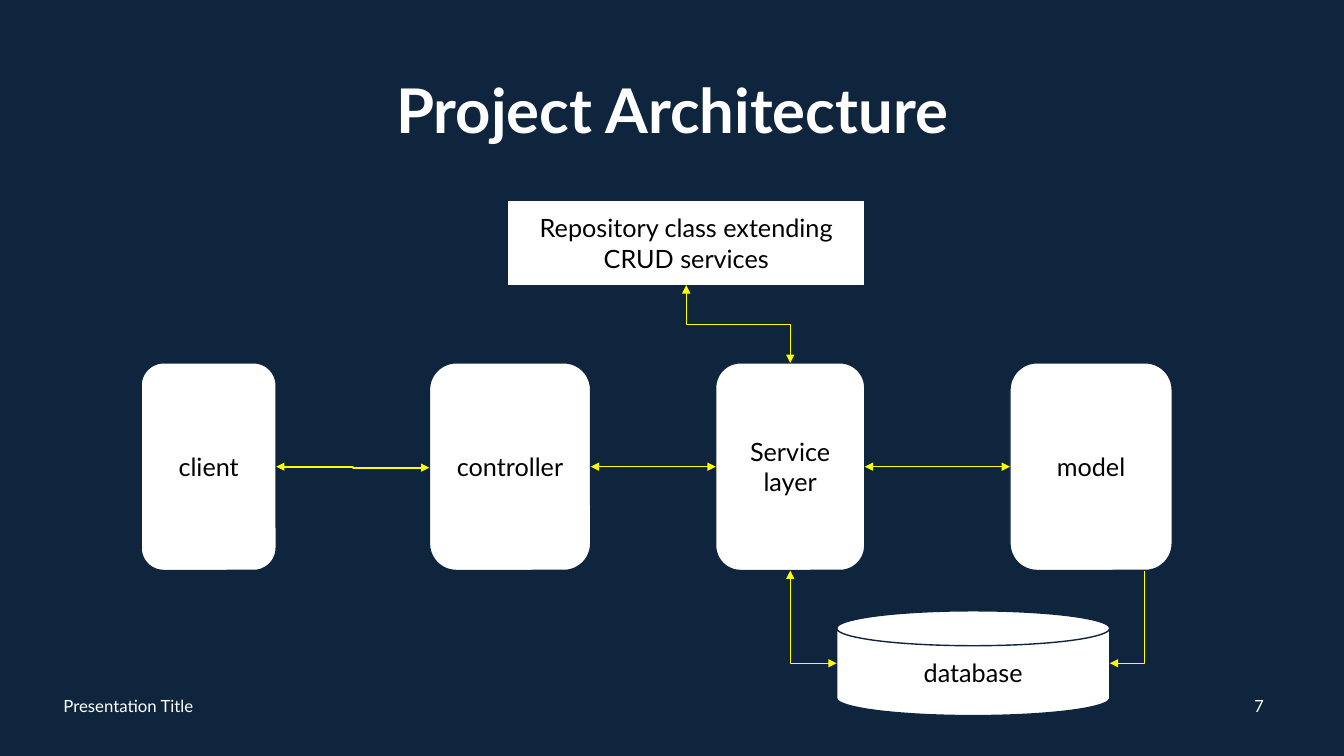
from lxml import etree
from pptx import Presentation
from pptx.dml.color import RGBColor
from pptx.enum.shapes import MSO_CONNECTOR, MSO_SHAPE
from pptx.enum.text import MSO_ANCHOR, PP_ALIGN
from pptx.oxml.ns import qn
from pptx.util import Inches, Pt

WIDTH, HEIGHT = 13.33, 7.5
COLUMNS, ROWS = 40, 30
TITLE_ONLY = 5
TOP, LEFT, BOTTOM, RIGHT = range(4)
RECT, ROUNDED, DISK = (MSO_SHAPE.RECTANGLE, MSO_SHAPE.ROUNDED_RECTANGLE,
                       MSO_SHAPE.FLOWCHART_MAGNETIC_DISK)
STRAIGHT, ELBOW = MSO_CONNECTOR.STRAIGHT, MSO_CONNECTOR.ELBOW
MIDDLE, CENTER, START = MSO_ANCHOR.MIDDLE, PP_ALIGN.CENTER, PP_ALIGN.LEFT
NAVY, WHITE, BLACK, YELLOW = "0F253E", "FFFFFF", "000000", "FFFF00"


def rgb(value):
    return RGBColor.from_string(value)


def col(count):
    return Inches(count * WIDTH / COLUMNS)


def row(count):
    return Inches(count * HEIGHT / ROWS)


class Diagram:
    """Style and current slide; all lengths are grid columns and rows."""

    def __init__(self, slide):
        self.slide = slide
        slide.background.fill.solid()
        slide.background.fill.fore_color.rgb = rgb(NAVY)

    def set_text(self, shape, text, color, align=CENTER, **formats):
        frame = shape.text_frame
        frame.word_wrap = True
        frame.vertical_anchor = MIDDLE
        paragraph = frame.paragraphs[0]
        paragraph.text = text
        paragraph.alignment = align
        for name, value in {"name": "Lato", **formats}.items():
            setattr(paragraph.font, name, value)
        paragraph.font.color.rgb = rgb(color)
        return paragraph

    def title(self, text, left, top, width, height):
        heading = self.slide.shapes.title
        place = {"left": col(left), "top": row(top),
                 "width": col(width), "height": row(height)}
        for name, value in place.items():
            setattr(heading, name, value)
        paragraph = self.set_text(heading, text, WHITE, size=Pt(44), bold=True)
        paragraph.line_spacing = 0.9

    def label(self, text, left, top, width, height, align):
        box = self.slide.shapes.add_textbox(col(left), row(top), col(width), row(height))
        self.set_text(box, text, WHITE, align, size=Pt(12))

    def node(self, kind, text, left, top, width, height):
        shape = self.slide.shapes.add_shape(
            kind, col(left), row(top), col(width), row(height))
        shape.shadow.inherit = False
        shape.fill.solid()
        shape.fill.fore_color.rgb = rgb(WHITE)
        shape.line.color.rgb = rgb(NAVY)
        shape.line.width = Pt(1)
        self.set_text(shape, text, BLACK, size=Pt(18))
        return shape

    def arrow(self, kind, begin, end, weight=0.5, heads=("headEnd", "tailEnd")):
        """Draw between two points given in EMU, with triangles at the named ends."""
        link = self.slide.shapes.add_connector(kind, *begin, *end)
        link.line.color.rgb = rgb(YELLOW)
        link.line.width = Pt(weight)
        properties = link._element.spPr
        line = properties.find(qn("a:ln"))
        for head in heads:
            etree.SubElement(line, qn("a:" + head), type="triangle")
        etree.SubElement(properties, qn("a:effectLst"))
        return link

    def join(self, source, target):
        """Straight arrow from a right side to a left side."""
        link = self.arrow(STRAIGHT, side(source, RIGHT), side(target, LEFT))
        link.begin_connect(source, RIGHT)
        link.end_connect(target, LEFT)

    def drop(self, begin, end, preset="bentConnector3", **style):
        """Elbow that leaves vertically: a horizontal elbow given a quarter turn."""
        (x1, y1), (x2, y2) = begin, end
        turn = 1 if x2 < x1 else -1
        mid_x, mid_y = (x1 + x2) // 2, (y1 + y2) // 2
        half_x, half_y = turn * (y2 - y1) // 2, turn * (x2 - x1) // 2
        link = self.arrow(ELBOW, (mid_x - half_x, mid_y + half_y),
                          (mid_x + half_x, mid_y - half_y), **style)
        properties = link._element.spPr
        properties.find(qn("a:xfrm")).set("rot", str(turn % 4 * 90 * 60000))
        properties.find(qn("a:prstGeom")).set("prst", preset)


def side(shape, number):
    """Middle of one side of a shape."""
    across = {LEFT: 0, RIGHT: 2}.get(number, 1)
    down = {TOP: 0, BOTTOM: 2}.get(number, 1)
    return (shape.left + shape.width * across // 2,
            shape.top + shape.height * down // 2)


def main():
    deck = Presentation()
    deck.slide_width, deck.slide_height = Inches(WIDTH), Inches(HEIGHT)
    diagram = Diagram(deck.slides.add_slide(deck.slide_layouts[TITLE_ONLY]))

    # Title and footer
    diagram.title("Project Architecture", 2.76, 1.6, 34.5, 5.8)
    diagram.label("Presentation Title", 1.59, 27.2, 13.5, 1.6, START)
    diagram.label("7", 36.72, 27.2, 1.5, 1.6, CENTER)

    # Repository, the row of layers, and storage
    repository = diagram.node(RECT, "Repository class extending CRUD services",
                              15.1, 7.96, 10.65, 3.36)
    layers = [("client", 4.2, 4.02), ("controller", 12.78, 4.8),
              ("Service layer", 21.3, 4.44), ("model", 30.06, 4.83)]
    client, controller, service, model = [
        diagram.node(ROUNDED, text, left, 14.4, width, 8.24)
        for text, left, width in layers]
    database = diagram.node(DISK, "database", 24.9, 24.24, 8.13, 4.16)

    # Links between the parts
    diagram.drop(side(repository, BOTTOM), side(service, TOP))
    controller_x, controller_y = side(controller, LEFT)
    diagram.arrow(ELBOW, side(client, RIGHT),
                  (controller_x, controller_y + Inches(0.01)), weight=1.5)
    diagram.join(controller, service)
    diagram.join(service, model)
    model_exit = (col(34.05), side(model, BOTTOM)[1])
    diagram.drop(model_exit, side(database, RIGHT), "bentConnector2", heads=["tailEnd"])
    diagram.drop(side(service, BOTTOM), side(database, LEFT), "bentConnector2")

    deck.save("out.pptx")


if __name__ == "__main__":
    main()
